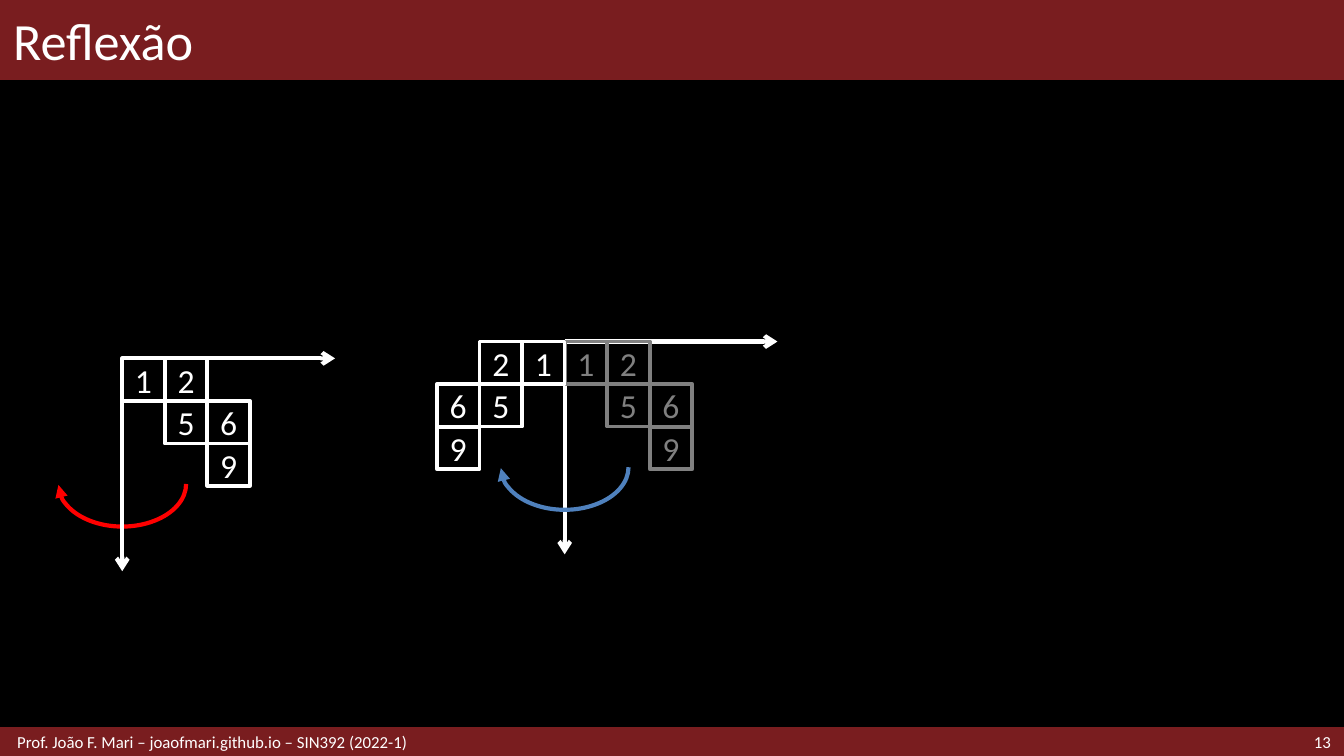
from dataclasses import dataclass

from lxml.etree import SubElement
from pptx import Presentation
from pptx.dml.color import RGBColor as RGB
from pptx.enum.shapes import MSO_CONNECTOR as CONN, MSO_SHAPE as SHAPE
from pptx.enum.text import MSO_ANCHOR as ANCHOR, PP_ALIGN as ALIGN
from pptx.oxml.ns import qn
from pptx.util import Pt


@dataclass(frozen=True)
class Theme:
    black: RGB = RGB(0, 0, 0)
    white: RGB = RGB(255, 255, 255)
    grey: RGB = RGB(0x80, 0x80, 0x80)
    wine: RGB = RGB(0x79, 0x1D, 0x1F)
    red: RGB = RGB(255, 0, 0)
    blue: RGB = RGB(0x4F, 0x81, 0xBD)
    font: str = "Calibri"
    title: int = 28
    digit: int = 18
    footer: int = 9
    axis_line: float = 2.25
    cell_line: float = 2


T = Theme()
W, H = 720, 405
CELL = 22.8
# Digit, column and row of each cell in the pattern
PATTERN = [("1", 0, 0), ("2", 1, 0), ("5", 1, 1), ("6", 2, 1), ("9", 2, 2)]


def box_pts(*lengths):
    return [Pt(v) for v in lengths]


def write(sp, text, size, color, align=ALIGN.LEFT, left=0, right=0):
    tf = sp.text_frame
    fmt = dict(word_wrap=True, vertical_anchor=ANCHOR.MIDDLE, margin_left=Pt(left),
               margin_right=Pt(right), margin_top=0, margin_bottom=0)
    for name, value in fmt.items():
        setattr(tf, name, value)
    p = tf.paragraphs[0]
    p.alignment = align
    r = p.add_run()
    r.text = text
    for name, value in dict(name=T.font, size=Pt(size)).items():
        setattr(r.font, name, value)
    r.font.color.rgb = color


def outline(sp, color, width):
    sp.line.color.rgb = color
    sp.line.width = Pt(width)


def arrowhead(sp, end, kind):
    SubElement(sp.line._get_or_add_ln(), qn(f"a:{end}"), type=kind)


def add_bar(s, x, y, w, h):
    sp = s.shapes.add_shape(SHAPE.RECTANGLE, *box_pts(x, y, w, h))
    sp.shadow.inherit = False
    sp.fill.solid()
    sp.fill.fore_color.rgb = T.wine
    outline(sp, T.wine, 1)


def add_header(s, x, y, w, h):
    add_bar(s, x, y, w, h)
    write(s.shapes.add_textbox(*box_pts(x, y, w, h)), "Reflexão",
          T.title, T.white, left=7.2, right=7.2)


def add_footer(s, x, y, w, h):
    add_bar(s, x, y, w, h)
    number_w = 82
    write(s.shapes.add_textbox(*box_pts(x + w - number_w, y, number_w, h)), "13",
          T.footer, T.white, ALIGN.RIGHT, right=7.2)
    write(s.shapes.add_textbox(*box_pts(x, y, 496, h)),
          "Prof. João F. Mari – joaofmari.github.io – SIN392 (2022-1)",
          T.footer, T.white, left=9.2)


def add_axes(s, x, y, length):
    for dx, dy in [(0, length), (length, 0)]:
        line = s.shapes.add_connector(CONN.STRAIGHT, *box_pts(x, y, x + dx, y + dy))
        outline(line, T.white, T.axis_line)
        arrowhead(line, "tailEnd", "arrow")
        SubElement(line._element.spPr, qn("a:effectLst"))


def add_pattern(s, x, y, color, mirrored=False):
    group = s.shapes.add_group_shape()
    for digit, col, row in PATTERN:
        step = -col - 1 if mirrored else col
        sp = group.shapes.add_shape(
            SHAPE.RECTANGLE, *box_pts(x + step * CELL, y + row * CELL, CELL, CELL))
        sp.shadow.inherit = False
        sp.fill.background()
        outline(sp, color, T.cell_line)
        write(sp, digit, T.digit, color, ALIGN.CENTER)


def add_turn(s, x, y, w, h, color):
    """Arc below the pattern, pointing to the left side of the axis."""
    sp = s.shapes.add_shape(SHAPE.ARC, *box_pts(x, y, w, h))
    sp.shadow.inherit = False
    sp.adjustments[0], sp.adjustments[1] = 108.5, 0
    sp._element.spPr.find(qn("a:xfrm")).set("flipV", "1")
    sp.fill.background()
    outline(sp, color, T.axis_line)
    arrowhead(sp, "headEnd", "triangle")


def add_diagram(s, x, y, size, reflected):
    """Axes with origin at x, y; the pattern before or after reflection."""
    turn = (x - 1.5 * CELL, y + 44.5, 3 * CELL, 2 * CELL)
    if not reflected:
        add_turn(s, *turn, T.red)
    add_axes(s, x, y, size)
    add_pattern(s, x, y, T.grey if reflected else T.white)
    if reflected:
        add_pattern(s, x, y, T.white, mirrored=True)
        add_turn(s, *turn, T.blue)


def main():
    prs = Presentation()
    prs.slide_width, prs.slide_height = box_pts(W, H)
    s = prs.slides.add_slide(prs.slide_layouts[6])
    s.background.fill.solid()
    s.background.fill.fore_color.rgb = T.black

    # Title and footer bars
    add_header(s, 0, 0, W, 42.5)
    add_footer(s, 0, H - 15, W, 15)

    # Pattern before and after reflection about the vertical axis
    add_diagram(s, 65.5, 192, 5 * CELL, reflected=False)
    add_diagram(s, 302.5, 183, 5 * CELL, reflected=True)

    prs.save("out.pptx")


if __name__ == "__main__":
    main()
